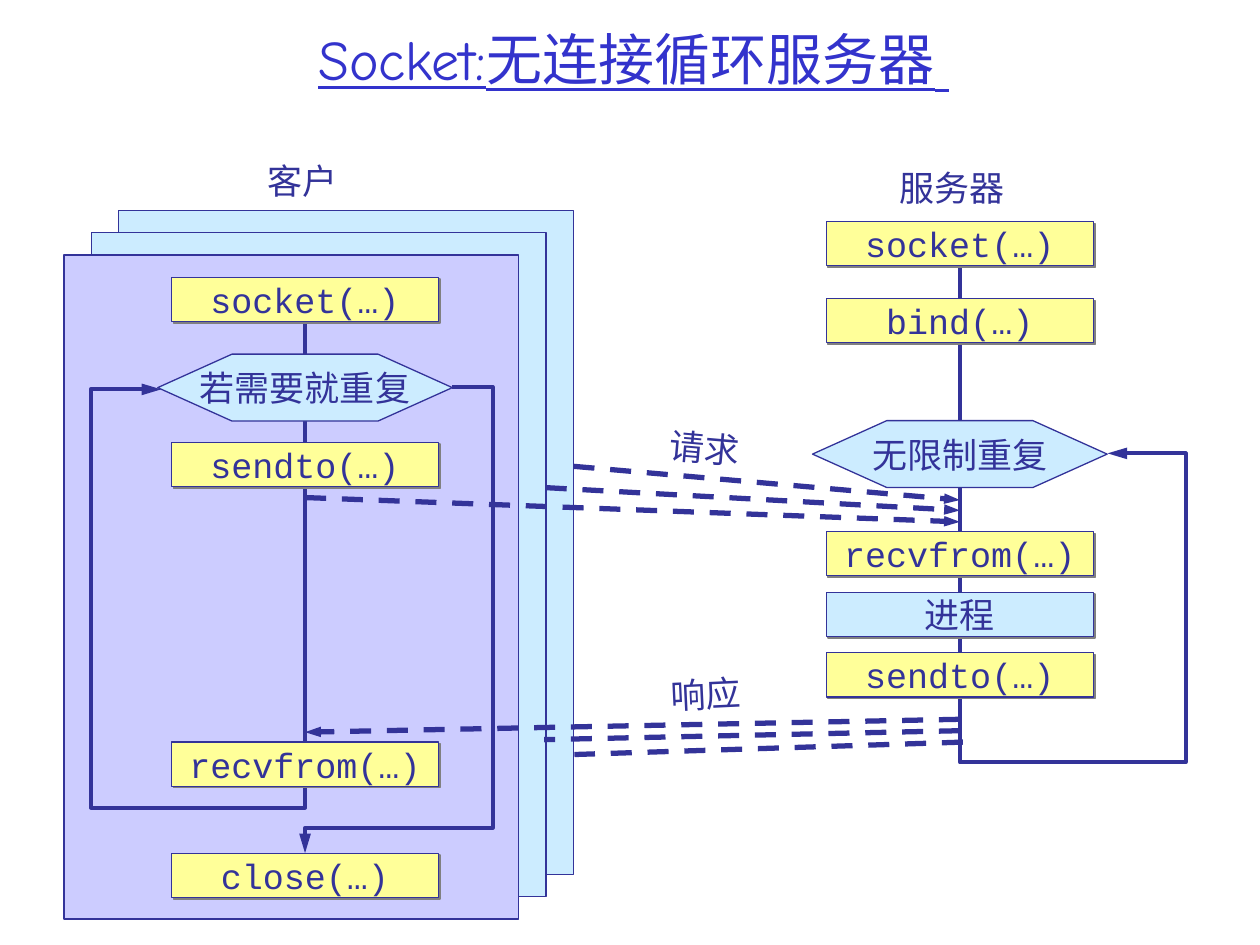
from lxml import etree
from pptx import Presentation
from pptx import util as u
from pptx.dml.color import RGBColor
from pptx.enum import dml, shapes, text
from pptx.oxml.ns import qn

INK, SKY, LILAC, YELLOW = "333399", "CCECFF", "CCCCFF", "FFFF99"
CLIENT, SERVER = 6.15, 19.35  # centre lines of the two columns, in cm


def color(target, hexa):
    target.rgb = RGBColor.from_string(hexa)


def stroke(line, width):
    color(line.color, INK)
    line.width = u.Pt(width)


def arrow(shape, width, length):
    ln = shape.line._get_or_add_ln()
    etree.SubElement(ln, qn("a:tailEnd"), type="triangle", w=width, len=length)


def cast(shape):
    """Add a hard grey shadow down to the right."""
    fx = shape._element.spPr.find(qn("a:effectLst"))
    drop = etree.SubElement(fx, qn("a:outerShdw"), dist=str(u.Pt(1.4)),
                            dir="2700000", algn="ctr", rotWithShape="0")
    etree.SubElement(drop, qn("a:srgbClr"), val="808080")


def write(shape, words):
    frame = shape.text_frame
    frame.word_wrap = False
    frame.text = words
    para = frame.paragraphs[0]
    para.alignment = text.PP_ALIGN.CENTER
    font = para.runs[0].font
    font.name, font.size = "Courier New", u.Pt(20)
    color(font.color, INK)


def block(slide, kind, left, top, width, height, fill):
    shape = slide.shapes.add_shape(kind, u.Cm(left), u.Cm(top), u.Cm(width), u.Cm(height))
    shape.shadow.inherit = False
    shape.fill.solid()
    color(shape.fill.fore_color, fill)
    stroke(shape.line, 0.75)
    return shape


def call(slide, mid, top, words, fill=YELLOW):
    shape = block(slide, shapes.MSO_SHAPE.RECTANGLE, mid - 2.69, top, 5.38, 0.89, fill)
    cast(shape)
    write(shape, words)


def repeat(slide, mid, top, words):
    shape = block(slide, shapes.MSO_SHAPE.HEXAGON, mid - 2.97, top, 5.94, 1.35, SKY)
    shape.adjustments[0] = 1.11
    write(shape, words)


def route(slide, *points):
    """Draw an open bent line that ends in an arrowhead."""
    spots = [(u.Cm(x), u.Cm(y)) for x, y in points]
    pen = slide.shapes.build_freeform(*spots[0])
    pen.add_line_segments(spots[1:], close=False)
    shape = pen.convert_to_shape()
    shape.shadow.inherit = False
    shape.fill.background()
    stroke(shape.line, 2.25)
    arrow(shape, "med", "lg")


def message(slide, start, end, head=True):
    line = slide.shapes.add_connector(shapes.MSO_CONNECTOR.STRAIGHT,
                                      *(u.Cm(n) for n in start + end))
    stroke(line.line, 3)
    line.line.dash_style = dml.MSO_LINE.DASH
    if head:
        arrow(line, "sm", "med")
    etree.SubElement(line._element.spPr, qn("a:effectLst"))


def label(slide, mid, top, words, turn=0):
    width = 0.6 + 0.71 * len(words)  # side insets plus one 20 pt square a character
    box = slide.shapes.add_textbox(u.Cm(mid - width / 2), u.Cm(top), u.Cm(width), u.Cm(1.12))
    box.rotation = turn
    write(box, words)
    box.text_frame.auto_size = text.MSO_AUTO_SIZE.SHAPE_TO_FIT_TEXT


def title(slide):
    head = slide.shapes.title
    head.left, head.top, head.width, head.height = map(u.Cm, (0.69, -0.25, 24.16, 2.74))
    head.text_frame.vertical_anchor = text.MSO_ANCHOR.MIDDLE
    para = head.text_frame.paragraphs[0]
    para.alignment = text.PP_ALIGN.CENTER
    for words, size in (("Socket:无连接循环服务器", 32), (" ", 36)):
        run = para.add_run()
        run.text = words
        font = run.font
        font.name, font.size, font.underline = "Comic Neue", u.Pt(size), True
        color(font.color, "3333CC")


def main():
    deck = Presentation()
    deck.slide_width, deck.slide_height = u.Cm(25.4), u.Cm(19.05)
    slide = deck.slides.add_slide(deck.slide_layouts[5])
    title(slide)

    for i, fill in enumerate((SKY, SKY, LILAC)):
        block(slide, shapes.MSO_SHAPE.RECTANGLE,
              2.39 - 0.55 * i, 4.24 + 0.45 * i, 9.17, 13.39, fill)

    route(slide, (CLIENT, 6.48), (CLIENT, 16.28), (1.83, 16.28), (1.83, 7.85), (3.25, 7.85))
    route(slide, (SERVER, 5.38), (SERVER, 15.37), (23.9, 15.37), (23.9, 9.14), (22.33, 9.14))

    for top, words in ((5.59, "socket(…)"), (8.92, "sendto(…)"),
                       (14.96, "recvfrom(…)"), (17.2, "close(…)")):
        call(slide, CLIENT, top, words)
    for top, words in ((4.47, "socket(…)"), (6.02, "bind(…)"),
                       (10.72, "recvfrom(…)"), (13.16, "sendto(…)")):
        call(slide, SERVER, top, words)
    call(slide, SERVER, 11.94, "进程", SKY)
    repeat(slide, CLIENT, 7.14, "若需要就重复")
    repeat(slide, SERVER, 8.48, "无限制重复")
    route(slide, (9.12, 7.8), (9.93, 7.8), (9.93, 16.69), (CLIENT, 16.69), (CLIENT, 17.2))

    for start, end in (((CLIENT, 10.03), 10.52), ((11, 9.83), 10.29), ((11.56, 9.4), 10.08)):
        message(slide, start, (SERVER, end))
    message(slide, (SERVER, 14.5), (CLIENT, 14.76))
    message(slide, (SERVER, 14.73), (10.97, 14.91), head=False)
    message(slide, (19.41, 14.96), (11.58, 15.21), head=False)

    label(slide, 6.11, 3.1, "客户")
    label(slide, 19.2, 3.23, "服务器")
    label(slide, 14.21, 8.48, "请求", 5.1)
    label(slide, 14.24, 13.44, "响应", 357.2)
    deck.save("out.pptx")


if __name__ == "__main__":
    main()
